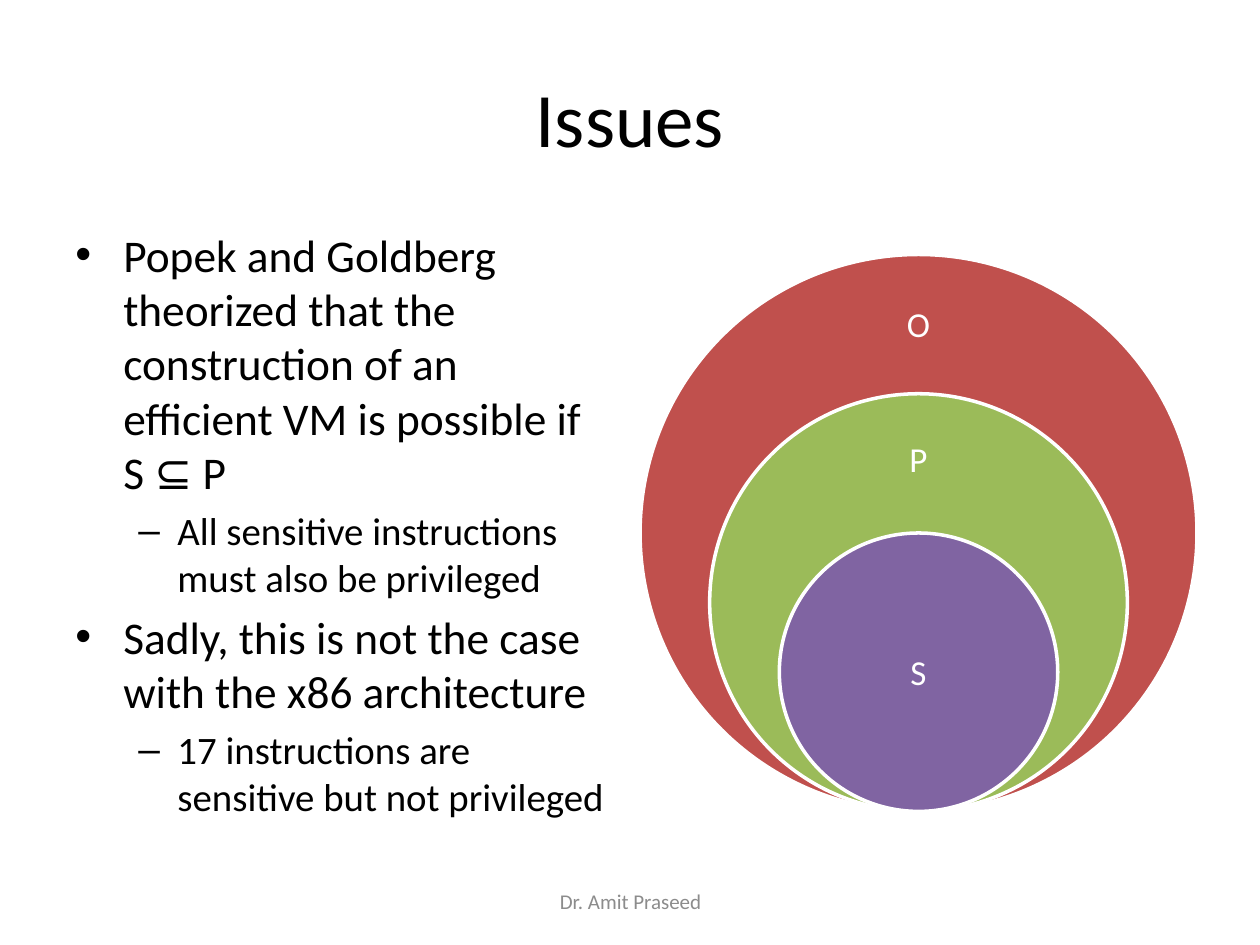
from lxml import etree
from pptx import Presentation
from pptx.dml.color import RGBColor
from pptx.enum.shapes import MSO_SHAPE
from pptx.enum.text import MSO_ANCHOR, PP_ALIGN
from pptx.oxml.ns import qn
from pptx.util import Inches, Pt

CENTER = PP_ALIGN.CENTER
TOP, MIDDLE = MSO_ANCHOR.TOP, MSO_ANCHOR.MIDDLE
OVAL = MSO_SHAPE.OVAL

FONT = "Calibri"
COLORS = {
    "text": "000000", "footer": "8C8C8C", "white": "FFFFFF",
    "outer": "C0504D", "middle": "9BBB59", "inner": "8064A2",
}

# Content
TITLE = "Issues"
FOOTER = "Dr. Amit Praseed"
BULLETS = [
    (0, "Popek and Goldberg theorized that the construction of an efficient VM is possible if S ⊆ P"),
    (1, "All sensitive instructions must also be privileged"),
    (0, "Sadly, this is not the case with the x86 architecture"),
    (1, "17 instructions are sensitive but not privileged"),
]
# Bullet character, font size, left margin, hanging indent for each level
LEVELS = [("•", 25.9, 0.38, 0.38), ("–", 22.2, 0.81, 0.31)]
# Label, color, share of the outer diameter, label top, label height
CIRCLES = [
    ("O", "outer", 1.0, 2.24, 0.66),
    ("P", "middle", 0.75, 3.33, 0.62),
    ("S", "inner", 0.5, 4.78, 1.1),
]
DIAMETER, CENTER_X, CIRCLE_BOTTOM = 4.42, 7.29, 6.44
LABEL_WIDTH = 1.54


def rgb(name):
    return RGBColor.from_string(COLORS[name])


def format_paragraph(paragraph, size, color, alignment=None):
    paragraph.alignment = alignment
    for run in paragraph.runs:
        run.font.name = FONT
        run.font.size = Pt(size)
        run.font.color.rgb = rgb(color)


def add_frame(slide, left, top, width, height, anchor):
    box = slide.shapes.add_textbox(Inches(left), Inches(top), Inches(width), Inches(height))
    frame = box.text_frame
    frame.word_wrap = True
    frame.vertical_anchor = anchor
    return frame


def add_centered_text(slide, text, position, size, color):
    frame = add_frame(slide, *position, MIDDLE)
    frame.text = text
    format_paragraph(frame.paragraphs[0], size, color, CENTER)


def add_bullets(slide):
    frame = add_frame(slide, 0.5, 1.75, 4.42, 4.95, TOP)
    for index, (level, text) in enumerate(BULLETS):
        character, size, margin, hanging = LEVELS[level]
        paragraph = frame.add_paragraph() if index else frame.paragraphs[0]
        paragraph.text = text
        paragraph.level = level
        paragraph.space_before = Pt(size * 0.2)
        format_paragraph(paragraph, size, "text")
        properties = paragraph._p.get_or_add_pPr()
        properties.set("marL", str(Inches(margin)))
        properties.set("indent", str(-Inches(hanging)))
        etree.SubElement(properties, qn("a:buFont"), typeface="Arial")
        etree.SubElement(properties, qn("a:buChar"), char=character)


def add_circles(slide):
    # Circles share a center line and touch at the bottom
    for label, color, share, label_top, label_height in CIRCLES:
        size = DIAMETER * share
        circle = slide.shapes.add_shape(
            OVAL, Inches(CENTER_X - size / 2), Inches(CIRCLE_BOTTOM - size),
            Inches(size), Inches(size))
        circle.shadow.inherit = False
        circle.fill.solid()
        circle.fill.fore_color.rgb = rgb(color)
        circle.line.color.rgb = rgb("white")
        circle.line.width = Pt(2)
        position = (CENTER_X - LABEL_WIDTH / 2, label_top, LABEL_WIDTH, label_height)
        add_centered_text(slide, label, position, 20, "white")


def main():
    presentation = Presentation()
    presentation.slide_width, presentation.slide_height = Inches(10), Inches(7.5)
    slide = presentation.slides.add_slide(presentation.slide_layouts[6])
    add_centered_text(slide, TITLE, (0.5, 0.3, 9, 1.25), 44, "text")
    add_bullets(slide)
    add_circles(slide)
    add_centered_text(slide, FOOTER, (3.42, 6.95, 3.17, 0.4), 12, "footer")
    presentation.save("out.pptx")


if __name__ == "__main__":
    main()
